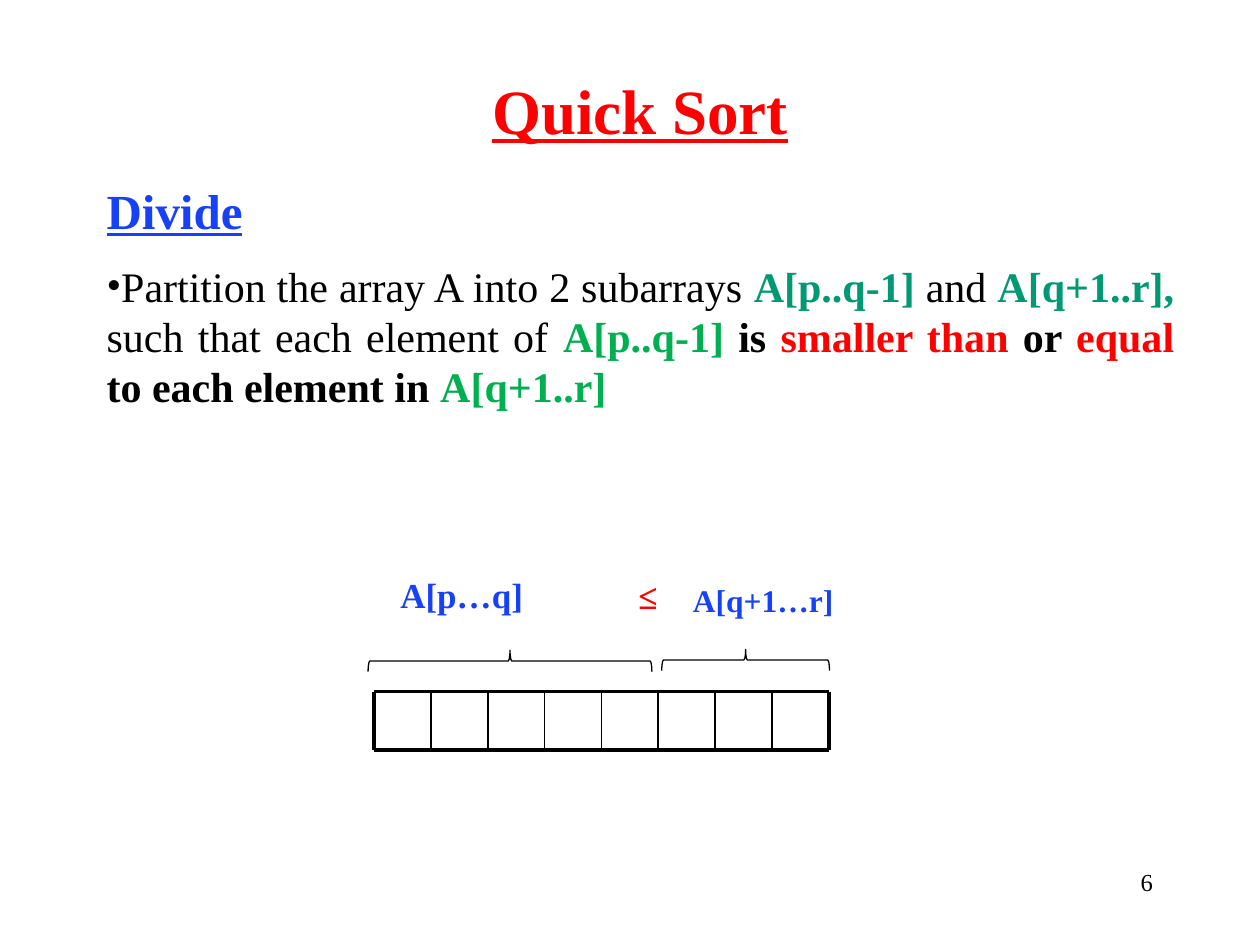
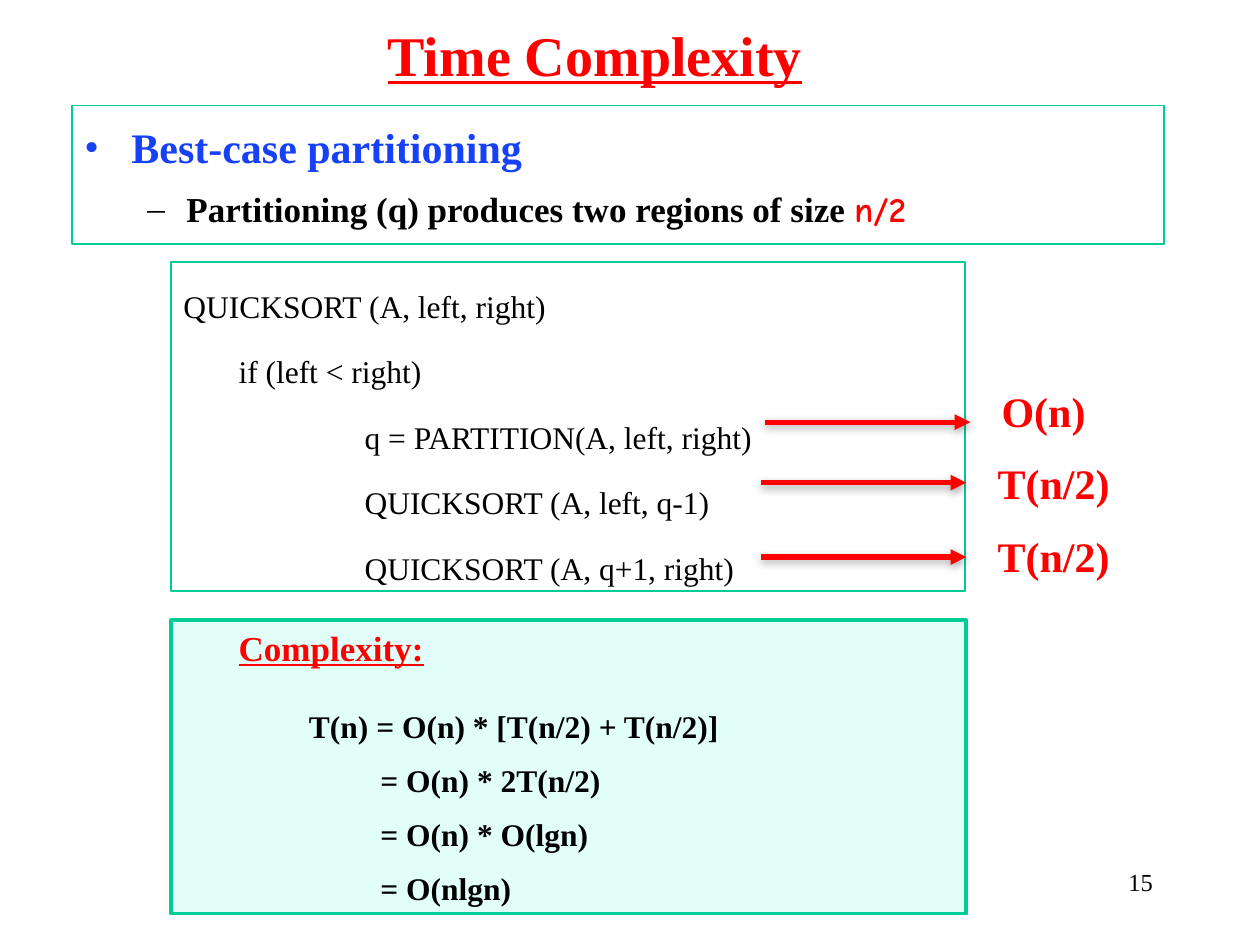
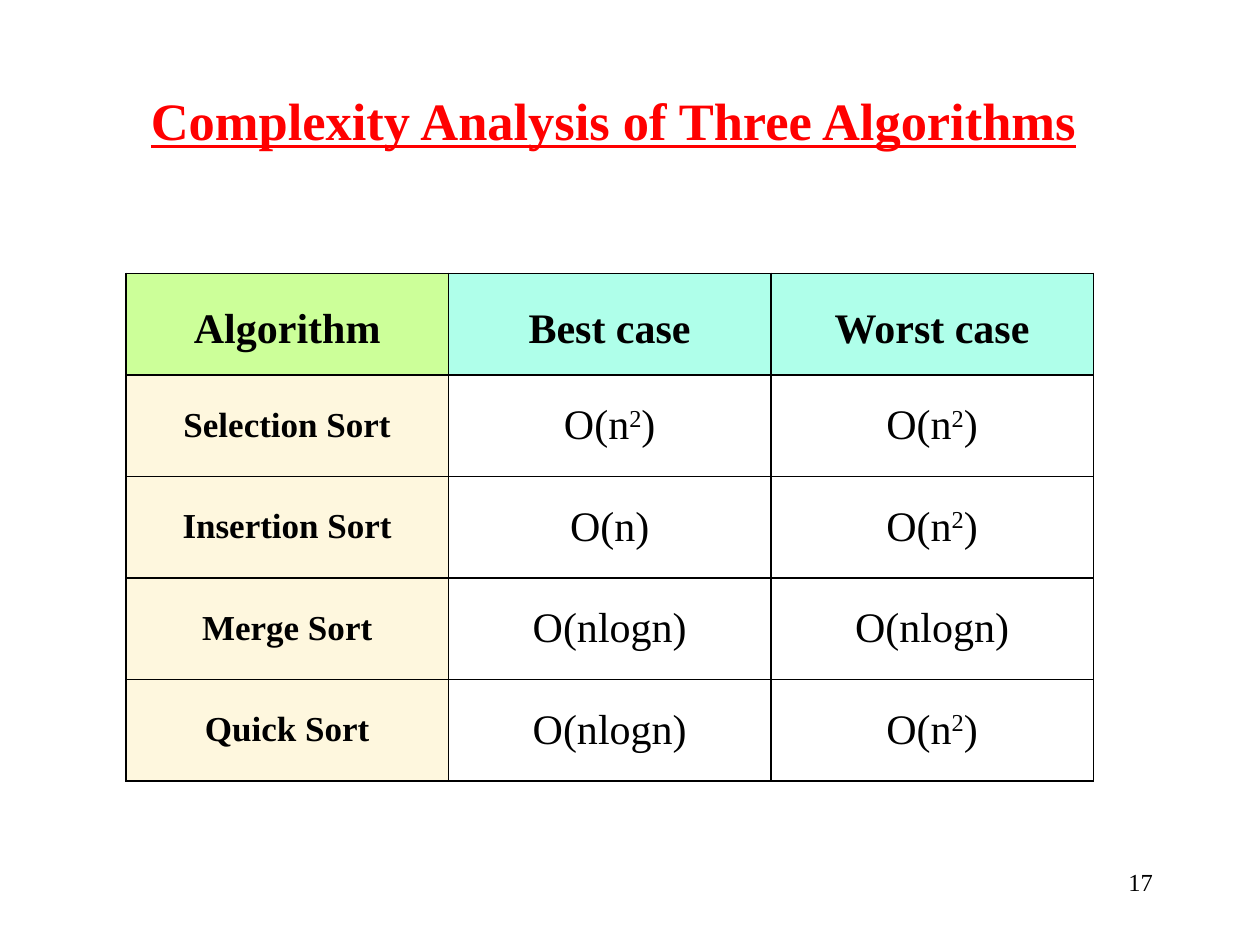
from dataclasses import dataclass, replace

from lxml import etree
from pptx import Presentation
from pptx.dml.color import RGBColor
from pptx.enum.shapes import MSO_CONNECTOR, MSO_SHAPE
from pptx.enum.text import MSO_ANCHOR, PP_ALIGN
from pptx.oxml.ns import qn
from pptx.util import Cm, Pt

LEFT, CENTER, RIGHT, JUSTIFY = PP_ALIGN.LEFT, PP_ALIGN.CENTER, PP_ALIGN.RIGHT, PP_ALIGN.JUSTIFY
TOP, MIDDLE = MSO_ANCHOR.TOP, MSO_ANCHOR.MIDDLE
RECTANGLE, LEFT_BRACE = MSO_SHAPE.RECTANGLE, MSO_SHAPE.LEFT_BRACE
STRAIGHT = MSO_CONNECTOR.STRAIGHT

BLACK = RGBColor(0x00, 0x00, 0x00)
WHITE = RGBColor(0xFF, 0xFF, 0xFF)
RED = RGBColor(0xFF, 0x00, 0x00)
BLUE = RGBColor(0x16, 0x41, 0xF6)
TEAL = RGBColor(0x00, 0x99, 0x73)
GREEN = RGBColor(0x00, 0xB0, 0x50)
FRAME = RGBColor(0x00, 0xCC, 0x99)
PALE_MINT = RGBColor(0xE1, 0xFF, 0xF8)
MINT = RGBColor(0xAF, 0xFF, 0xEA)
LIME = RGBColor(0xCC, 0xFF, 0x99)
CREAM = RGBColor(0xFE, 0xF7, 0xDE)


@dataclass(frozen=True)
class Style:
    size: float
    color: RGBColor = BLACK
    bold: bool = False
    underline: bool = False
    font: str = "Times New Roman"


BODY = Style(24)
STRONG = Style(24, bold=True)
CODE = Style(18)
FORMULA = Style(18, bold=True)
COST = Style(24, RED, bold=True)


# ---- Text ----
def write(paragraph, parts, align=LEFT, line=1.0, before=0):
    """Fill a paragraph with (text, style) parts."""
    paragraph.alignment = align
    paragraph.line_spacing = line
    paragraph.space_before = Pt(before)
    for text, style in parts:
        run = paragraph.add_run()
        run.text = text
        font = run.font
        font.name, font.size = style.font, Pt(style.size)
        font.bold, font.underline = style.bold, style.underline
        font.color.rgb = style.color
    return paragraph


def indent(paragraph, left, first=0.0):
    properties = paragraph._p.get_or_add_pPr()
    properties.set("marL", str(Cm(left)))
    properties.set("indent", str(Cm(first)))


def bullet(paragraph, mark, color, left, first):
    indent(paragraph, left, first)
    properties = paragraph._p.get_or_add_pPr()
    mark_color = etree.SubElement(properties, qn("a:buClr"))
    etree.SubElement(mark_color, qn("a:srgbClr"), val=str(color))
    etree.SubElement(properties, qn("a:buFont"), typeface="Times New Roman")
    etree.SubElement(properties, qn("a:buChar"), char=mark)


def prepare(frame, anchor=TOP):
    frame.word_wrap = True
    frame.vertical_anchor = anchor
    return frame


def text_area(slide, box, anchor=TOP):
    return prepare(slide.shapes.add_textbox(*map(Cm, box)).text_frame, anchor)


def label(slide, box, text, style, align=LEFT, anchor=TOP):
    write(text_area(slide, box, anchor).paragraphs[0], [(text, style)], align)


# ---- Shared slide parts ----
def new_slide(deck, title, title_size, title_box, number):
    slide = deck.slides.add_slide(deck.slide_layouts[6])
    label(slide, title_box, title, Style(title_size, RED, True, True), CENTER, MIDDLE)
    label(slide, (18.21, 17.35, 5.28, 1.27), number, Style(14), RIGHT)
    return slide


def framed_panel(slide, box, weight, fill=None):
    panel = slide.shapes.add_shape(RECTANGLE, *map(Cm, box))
    panel.shadow.inherit = False
    panel.line.color.rgb = FRAME
    panel.line.width = Pt(weight)
    if fill is None:
        panel.fill.background()
    else:
        panel.fill.solid()
        panel.fill.fore_color.rgb = fill
    return prepare(panel.text_frame)


def straight_line(slide, start, end, color, weight):
    """Draw a line and return it with its empty effect list."""
    line = slide.shapes.add_connector(STRAIGHT, *map(Cm, start + end))
    line.line.color.rgb = color
    line.line.width = Pt(weight)
    effects = etree.SubElement(line._element.spPr, qn("a:effectLst"))
    return line, effects


# ---- Quick Sort: divide step ----
def divide_text(slide, box):
    frame = text_area(slide, box)
    write(frame.paragraphs[0], [("Divide", Style(28, BLUE, True, True))], JUSTIFY)
    teal, green, red = (replace(STRONG, color=c) for c in (TEAL, GREEN, RED))
    step = write(frame.add_paragraph(), [
        ("Partition the array A into 2 subarrays ", BODY),
        ("A[p..q-1] ", teal),
        ("and ", BODY),
        ("A[q+1..r], ", teal),
        ("such that each element of ", BODY),
        ("A[p..q-1] ", green),
        ("is ", STRONG),
        ("smaller than", red),
        (" or ", STRONG),
        ("equal", red),
        (" to each element in ", STRONG),
        ("A[q+1..r]", green),
    ], JUSTIFY, before=12)
    bullet(step, "•", BLACK, 0, -0.43)


def brace_above(slide, box):
    """Place a left brace turned a quarter so that it fills the box."""
    left, top, width, height = box
    shift = (width - height) / 2
    brace = slide.shapes.add_shape(
        LEFT_BRACE, Cm(left + shift), Cm(top - shift), Cm(height), Cm(width))
    brace.rotation = 90
    brace.shadow.inherit = False
    brace.fill.background()
    brace.line.color.rgb = BLACK
    brace.line.width = Pt(0.75)


def array_cells(slide, box, count):
    left, top, width, height = box
    right, bottom = left + width, top + height
    for y in (top, bottom):
        straight_line(slide, (left, y), (right, y), BLACK, 2.25)
    for i in range(count + 1):
        x = left + width * i / count
        straight_line(slide, (x, top), (x, bottom), BLACK, 2.25 if i in (0, count) else 1)


def partitioned_array(slide, box):
    left, top, width, height = box
    array_cells(slide, (left, top + 2.51, width, height - 2.51), 8)
    brace_above(slide, (left - 0.12, top + 1.68, 5.72, 0.43))
    brace_above(slide, (left + 5.8, top + 1.66, 3.38, 0.43))
    label(slide, (left + 5.08, top + 0.03, 0.91, 1.12), "≤", Style(20, RED, True))
    label(slide, (left + 0.28, top, 3, 1.12), "A[p…q]", Style(20, BLUE, True))
    label(slide, (left + 6.18, top + 0.15, 3.38, 1.02), "A[q+1…r]", Style(18, BLUE, True))


def divide_slide(deck):
    slide = new_slide(deck, "Quick Sort", 36, (2.87, 0.81, 20.07, 2.77), "6")
    divide_text(slide, (1.9, 3.51, 22.02, 11.2))
    partitioned_array(slide, (7.54, 11.43, 9.17, 3.68))


# ---- Time Complexity: best case ----
def complexity_panel(slide, box):
    frame = framed_panel(slide, box, 2, PALE_MINT)
    heading = write(frame.paragraphs[0], [("Complexity:", Style(20, RED, True, True))], JUSTIFY)
    indent(heading, 1.11)
    steps = [
        ("T(n) = O(n) * [T(n/2) + T(n/2)]", 2.53, 17.7),
        ("= O(n) * 2T(n/2)", 3.97, 4.9),
        ("= O(n) * O(lgn)", 3.97, 4.9),
        ("= O(nlgn)", 3.97, 4.9),
    ]
    for text, left, before in steps:
        indent(write(frame.add_paragraph(), [(text, FORMULA)], line=1.2, before=before), left)


def code_panel(slide, box):
    frame = framed_panel(slide, box, 1)
    lines = [
        ("QUICKSORT (A, left, right)", 0),
        ("if (left < right)", 1.11),
        ("q = PARTITION(A, left, right)", 3.65),
        ("QUICKSORT (A, left, q-1)", 3.65),
        ("QUICKSORT (A, q+1, right)", 3.65),
    ]
    for i, (text, left) in enumerate(lines):
        paragraph = frame.add_paragraph() if i else frame.paragraphs[0]
        indent(write(paragraph, [(text, CODE)], line=1.5, before=5 if i else 0), left)


def cost_arrow(slide, left, y):
    arrow, effects = straight_line(slide, (left, y), (left + 4.14, y), RED, 3)
    etree.SubElement(arrow.line._get_or_add_ln(), qn("a:tailEnd"), type="triangle")
    shadow = etree.SubElement(
        effects, qn("a:outerShdw"), blurRad=str(Pt(5)), dist=str(Pt(1.8)),
        dir="5400000", rotWithShape="0")
    shade = etree.SubElement(shadow, qn("a:srgbClr"), val=str(BLACK))
    etree.SubElement(shade, qn("a:alpha"), val="35000")


def line_costs(slide, box):
    left, top, _, _ = box
    costs = [  # text, arrow offset, arrow height, label offset, label top
        ("O(n)", 0.08, 0.86, 4.6, 0),
        ("T(n/2)", 0, 2.08, 4.52, 1.44),
        ("T(n/2)", 0, 3.58, 4.52, 2.92),
    ]
    for text, arrow_x, arrow_y, text_x, text_y in costs:
        cost_arrow(slide, left + arrow_x, top + arrow_y)
        label(slide, (left + text_x, top + text_y, 2.79, 1.27), text, COST)


def best_case_panel(slide, box):
    frame = framed_panel(slide, box, 1)
    heading = write(frame.paragraphs[0],
                    [("Best-case partitioning", Style(24, BLUE, True))], line=1.2)
    bullet(heading, "•", BLUE, 0.95, -0.95)
    detail = write(frame.add_paragraph(), [
        ("Partitioning (q) produces two regions of size ", Style(20, bold=True)),
        ("n/2", Style(20, RED, True, font="Comic Neue")),
    ], line=1.2, before=4)
    detail.level = 1
    bullet(detail, "–", BLACK, 2.06, -0.79)


def time_slide(deck):
    slide = new_slide(deck, "Time Complexity", 32, (1.96, -0.3, 20.07, 2.77), "15")
    complexity_panel(slide, (3.45, 12.5, 16.03, 5.92))
    code_panel(slide, (3.45, 5.28, 16, 6.63))
    line_costs(slide, (15.34, 7.65, 7.31, 4.19))
    best_case_panel(slide, (1.45, 2.13, 22.02, 2.79))


# ---- Complexity Analysis: comparison table ----
def border_cell(cell):
    properties = cell._tc.get_or_add_tcPr()
    for i, side in enumerate(("a:lnL", "a:lnR", "a:lnT", "a:lnB")):
        edge = etree.Element(qn(side), w=str(Pt(1)))
        fill = etree.SubElement(edge, qn("a:solidFill"))
        etree.SubElement(fill, qn("a:srgbClr"), val=str(BLACK))
        properties.insert(i, edge)


def fill_cell(cell, text, style, fill, anchor=MIDDLE, line=1.0):
    cell.margin_top = cell.margin_bottom = Cm(0.2)
    cell.vertical_anchor = anchor
    cell.fill.solid()
    cell.fill.fore_color.rgb = fill
    border_cell(cell)
    base, power, rest = text.partition("²")
    parts = [(part, style) for part in (base, power and "2", rest) if part]
    paragraph = write(cell.text_frame.paragraphs[0], parts, CENTER, line)
    if power:
        paragraph.runs[1]._r.get_or_add_rPr().set("baseline", "30000")


def algorithm_table(slide, box):
    rows = [
        ("Algorithm", "Best case", "Worst case"),
        ("Selection Sort", "O(n²)", "O(n²)"),
        ("Insertion Sort", "O(n)", "O(n²)"),
        ("Merge Sort", "O(nlogn)", "O(nlogn)"),
        ("Quick Sort", "O(nlogn)", "O(n²)"),
    ]
    table = slide.shapes.add_table(len(rows), len(rows[0]), *map(Cm, box)).table
    for r, row in enumerate(rows):
        for c, text in enumerate(row):
            cell = table.cell(r, c)
            if r == 0:
                fill_cell(cell, text, STRONG, MINT if c else LIME, TOP, 1.5)
            elif c == 0:
                fill_cell(cell, text, Style(20, bold=True), CREAM)
            else:
                fill_cell(cell, text, BODY, WHITE)


def analysis_slide(deck):
    slide = new_slide(deck, "Complexity Analysis of Three Algorithms", 30,
                      (2.11, 1.27, 20.52, 2.29), "17")
    algorithm_table(slide, (2.54, 5.51, 19.5, 10.23))


def main():
    deck = Presentation()
    deck.slide_width, deck.slide_height = Cm(25.4), Cm(19.05)
    divide_slide(deck)
    time_slide(deck)
    analysis_slide(deck)
    deck.save("out.pptx")


if __name__ == "__main__":
    main()
